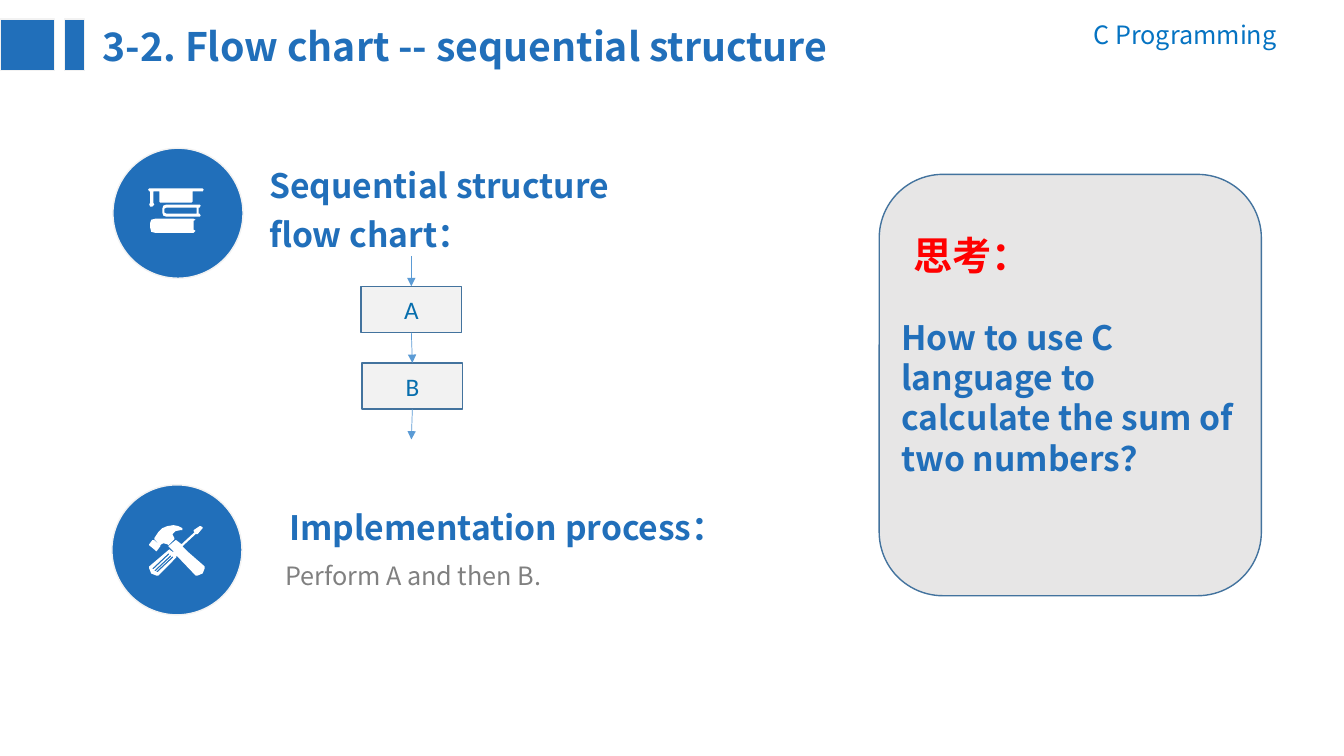
from pptx import Presentation
from pptx.dml.color import RGBColor
from pptx.enum.shapes import MSO_CONNECTOR, MSO_SHAPE
from pptx.enum.text import MSO_ANCHOR, MSO_AUTO_SIZE, PP_ALIGN
from pptx.oxml.ns import qn
from pptx.util import Emu, Pt
from lxml.etree import SubElement

PX = 9144
BLUE, PALE, OUTLINE, ARROW = "216FBA", "F2F2F2", "43739E", "5B9BD5"
SANS = "Noto Sans CJK SC"

BOOKS = [
    [(47, 42), (45, 44), (7, 44), (3, 43), (2, 39), (2, 34), (3, 31), (7, 30),
     (45, 30), (47, 31), (45, 32), (45, 41)],
    [(52, 27), (51, 28), (18, 28), (15, 27), (14, 24), (14, 20), (15, 17), (18, 16),
     (51, 16), (52, 17), (51, 19), (50, 19), (50, 25), (51, 25)],
    [(18, 25), (48, 25), (48, 19), (18, 19), (16, 20), (16, 24)],
    [(54, 0), (1, 0), (0, 1), (1, 3), (2, 3), (2, 14), (1, 16), (2, 18), (4, 18),
     (6, 16), (5, 14), (5, 3), (11, 3), (11, 13), (12, 14), (43, 14), (44, 13),
     (44, 3), (54, 3), (55, 1)],
]
TOOLS = [
    *[[(x, y), (x - 16, y + 15), (x - 15, y + 16), (x + 1, y + 1)]
      for x, y in [(23, 31), (21, 30), (19, 28)]],
    [(4, 15), (5, 15), (11, 20), (11, 21), (8, 25), (7, 26), (6, 25), (0, 20),
     (0, 19), (3, 15)],
    [(50, 1), (51, 1), (53, 2), (53, 3), (48, 9), (46, 9), (33, 21), (39, 27),
     (55, 41), (55, 43), (53, 48), (48, 50), (46, 50), (25, 28), (27, 30), (27, 32),
     (9, 50), (7, 50), (2, 48), (0, 43), (0, 41), (20, 24), (21, 25), (24, 27),
     (24, 26), (19, 21), (20, 20), (26, 15), (27, 15), (32, 19), (45, 7), (44, 6),
     (44, 5)],
    [(24, 0), (29, 1), (33, 3), (33, 5), (31, 5), (26, 6), (23, 9), (25, 13),
     (25, 14), (19, 20), (18, 19), (14, 18), (12, 19), (11, 20), (5, 14), (5, 13),
     (9, 7), (13, 3), (18, 1)],
]


def px(*lengths):
    """Turn px lengths into EMU."""
    return [Emu(length * PX) for length in lengths]


def paint(color_format, color):
    """Set a fill, line or font colour from a hex string."""
    color_format.rgb = RGBColor.from_string(color)


def write(text_frame, text, size, color, font=SANS, bold=False, align=PP_ALIGN.LEFT,
          spacing=None):
    """Put one formatted paragraph into a text frame."""
    text_frame.text = text
    text_frame.word_wrap = True
    paragraph = text_frame.paragraphs[0]
    paragraph.alignment = align
    paragraph.line_spacing = spacing
    run = paragraph.runs[0]
    run.font.size, run.font.bold, run.font.name = Pt(size), bold, font
    paint(run.font.color, color)
    SubElement(run.font._element, qn("a:ea")).set("typeface", SANS)


def add_text(slide, box, text, size, color, **style):
    """Add a text box that grows with its text."""
    text_frame = slide.shapes.add_textbox(*px(*box)).text_frame
    write(text_frame, text, size, color, **style)
    text_frame.auto_size = MSO_AUTO_SIZE.SHAPE_TO_FIT_TEXT


def add_block(slide, kind, box, fill, line):
    """Add a flat filled shape with a thin outline."""
    shape = slide.shapes.add_shape(kind, *px(*box))
    shape.shadow.inherit = False
    shape.fill.solid()
    paint(shape.fill.fore_color, fill)
    paint(shape.line.color, line)
    shape.line.width = Pt(1)
    return shape


def add_arrow(slide, x, top, bottom, source=None, target=None):
    """Add a downward arrow, joined to the given steps."""
    arrow = slide.shapes.add_connector(MSO_CONNECTOR.STRAIGHT, *px(x, top, x, bottom))
    if source:
        arrow.begin_connect(source, 2)
    if target:
        arrow.end_connect(target, 0)
    paint(arrow.line.color, ARROW)
    arrow.line.width = Pt(0.5)
    SubElement(arrow.line._get_or_add_ln(), qn("a:tailEnd")).set("type", "triangle")
    SubElement(arrow._element.spPr, qn("a:effectLst"))


def add_header(slide, left, top, width):
    """Draw the title bar with its two blocks and the course name."""
    for offset, block_width in [(0, 54), (64, 20)]:
        add_block(slide, MSO_SHAPE.RECTANGLE, (left + offset, top + 5, block_width, 51),
                  BLUE, PALE)
    add_text(slide, (left + 92, top + 3, 829, 57),
             "3-2. Flow chart -- sequential structure", 28, BLUE, bold=True)
    add_text(slide, (left + width - 357, top, 300, 40), "C Programming", 18, "0573C2",
             align=PP_ALIGN.RIGHT)


def add_badge(slide, left, top, icon, icon_left, icon_top):
    """Draw a round badge with a white icon."""
    add_block(slide, MSO_SHAPE.OVAL, (left, top, 129, 129), BLUE, PALE)
    builder = slide.shapes.build_freeform(*icon[0][0], scale=PX)
    builder.add_line_segments(icon[0][1:])
    for contour in icon[1:]:
        builder.move_to(*contour[0])
        builder.add_line_segments(contour[1:])
    shape = builder.convert_to_shape(*px(left + icon_left, top + icon_top))
    shape.shadow.inherit = False
    shape.fill.solid()
    paint(shape.fill.fore_color, "FFFFFF")
    shape.line.fill.background()


def add_flow(slide, left, top):
    """Draw the two steps and the arrows between them."""
    width, height, gap = 100, 46, 30
    steps = []
    for index, name in enumerate("AB"):
        box = (left + index, top + gap + index * (height + gap), width, height)
        step = add_block(slide, MSO_SHAPE.FLOWCHART_PROCESS, box, PALE, OUTLINE)
        write(step.text_frame, name, 18, "076EAD", font="Calibri", align=PP_ALIGN.CENTER)
        step.text_frame.vertical_anchor = MSO_ANCHOR.MIDDLE
        steps.append(step)
    for index, (source, target) in enumerate(zip([None, *steps], [*steps, None])):
        start = top + index * (height + gap)
        add_arrow(slide, left + width // 2, start, start + gap, source, target)


def add_question(slide, left, top, width, height):
    """Draw the rounded panel with the question to think about."""
    add_block(slide, MSO_SHAPE.ROUNDED_RECTANGLE, (left, top, width, height),
              "E7E6E6", OUTLINE)
    add_text(slide, (left + 24, top + 52, 195, 57), "思考：", 28, "FF0000",
             font="Arial", bold=True)
    add_text(slide, (left + 12, top + 136, 356, 172),
             "How to use C language to calculate the sum of two numbers？", 24, BLUE,
             bold=True)


def main():
    """Build and save the slide."""
    presentation = Presentation()
    presentation.slide_width, presentation.slide_height = px(1333, 750)
    slide = presentation.slides.add_slide(presentation.slide_layouts[6])
    add_header(slide, 0, 14, 1333)
    add_badge(slide, 112, 147, BOOKS, 35, 40)
    add_text(slide, (257, 151, 402, 107), "Sequential structure flow chart：", 24, BLUE,
             bold=True, spacing=1.2)
    add_flow(slide, 358, 254)
    add_badge(slide, 111, 481, TOOLS, 37, 40)
    add_text(slide, (277, 490, 543, 58), "Implementation process：", 24, BLUE,
             bold=True, spacing=1.2)
    add_text(slide, (273, 545, 878, 46), "Perform A and then B.", 18, "808080",
             spacing=1.2)
    add_question(slide, 872, 173, 379, 418)
    presentation.save("out.pptx")


if __name__ == "__main__":
    main()
